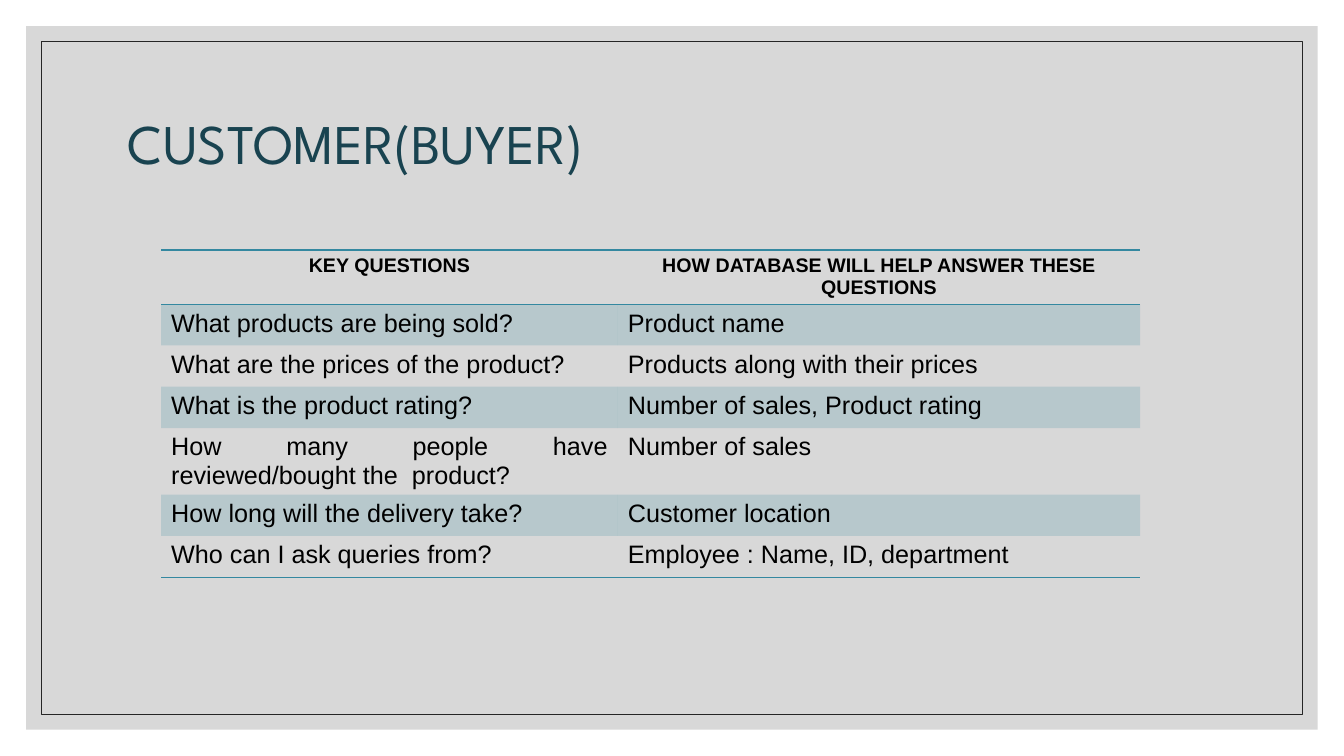
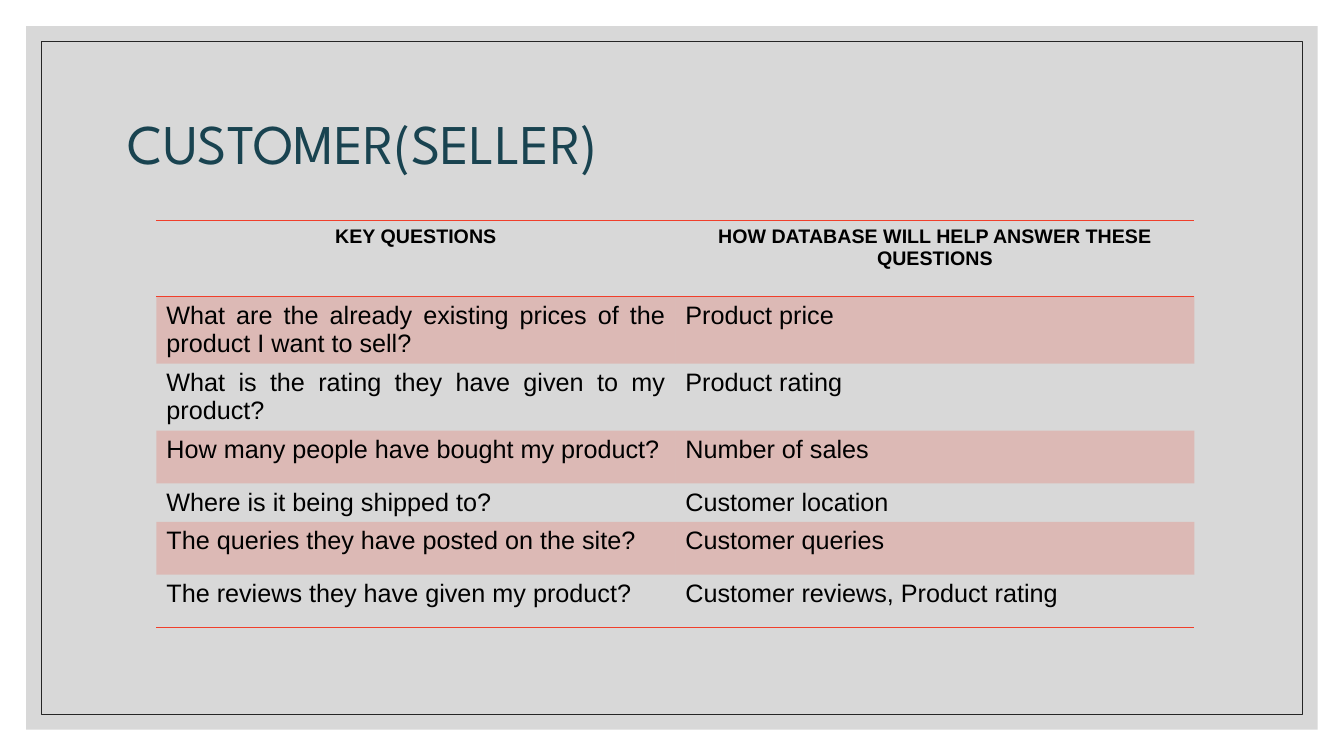
from lxml.etree import SubElement
from pptx import Presentation
from pptx.dml.color import RGBColor
from pptx.enum.shapes import MSO_SHAPE
from pptx.enum.text import MSO_ANCHOR, PP_ALIGN
from pptx.oxml import parse_xml
from pptx.oxml.ns import nsdecls, qn
from pptx.util import Cm, Pt

COLOURS = {
    "panel": "BFBFBF",
    "outline": "262626",
    "title": "194350",
    "text": "000000",
    "buyer": "3488A0",
    "seller": "F03F2B",
}
FONTS = {
    "title": {"name": "League Spartan", "size": Pt(40), "bold": False},
    "header": {"name": "Arial", "size": Pt(14), "bold": True},
    "body": {"name": "Arial", "size": Pt(18), "bold": False},
}
SLIDE_WIDTH, SLIDE_HEIGHT = 33.87, 19.05
TITLE_BOX = (2.97, 1.78, 27.94, 3.81)
PANEL_INSET, OUTLINE_INSET = 0.66, 1.04
NO_TABLE_STYLE = "{2D5ABB26-0587-4C30-8999-92F81FD0307C}"
HEADINGS = ("KEY QUESTIONS", "HOW DATABASE WILL HELP ANSWER THESE QUESTIONS")
TOPICS = [
    {
        "title": "CUSTOMER(BUYER)",
        "accent": "buyer",
        "corner": (4.06, 6.3),
        "widths": (11.51, 13.16),
        "heights": (1.36, 1.04, 1.04, 1.04, 1.67, 1.04, 1.04),
        "rows": [
            ("What products are being sold?", "Product name"),
            ("What are the prices of the product?", "Products along with their prices"),
            ("What is the product rating?", "Number of sales, Product rating"),
            ("How many people have reviewed/bought the  product?", "Number of sales"),
            ("How long will the delivery take?", "Customer location"),
            ("Who can I ask queries from?", "Employee : Name, ID, department"),
        ],
    },
    {
        "title": "CUSTOMER(SELLER)",
        "accent": "seller",
        "corner": (3.94, 5.56),
        "widths": (13.08, 13.08),
        "heights": (1.91, 1.69, 1.69, 1.33, 0.97, 1.33, 1.33),
        "rows": [
            ("What are the already existing prices of the product I want to sell?", "Product price"),
            ("What is the rating they have given to my product?", "Product rating"),
            ("How many people have bought my product?", "Number of sales"),
            ("Where is it being shipped to?", "Customer location"),
            ("The queries they have posted on the site?", "Customer queries"),
            ("The reviews they have given my product?", "Customer reviews, Product rating"),
        ],
    },
]


def colour(name):
    return RGBColor.from_string(COLOURS[name])


def format_font(font, style, colour_name):
    for attribute, value in FONTS[style].items():
        setattr(font, attribute, value)
    font.color.rgb = colour(colour_name)


def tint(fill, element, colour_name, percent):
    fill.solid()
    fill.fore_color.rgb = colour(colour_name)
    shade = element.find(f"{qn('a:solidFill')}/{qn('a:srgbClr')}")
    SubElement(shade, qn("a:alpha"), val=str(percent * 1000))


def add_inset_rectangle(page, inset):
    box = page.shapes.add_shape(
        MSO_SHAPE.RECTANGLE, Cm(inset), Cm(inset),
        Cm(SLIDE_WIDTH - 2 * inset), Cm(SLIDE_HEIGHT - 2 * inset))
    box.shadow.inherit = False
    return box


def add_frame(page, layout):
    panel = add_inset_rectangle(page, PANEL_INSET)
    tint(panel.fill, panel.element.spPr, "panel", 60)
    panel.line.fill.background()
    outline = add_inset_rectangle(page, OUTLINE_INSET)
    outline.fill.background()
    outline.line.color.rgb = colour("outline")
    outline.line.width = Pt(0.75)
    next_id = max(shape.shape_id for shape in layout.shapes) + 1
    for offset, box in enumerate((panel, outline)):
        box.element.nvSpPr.cNvPr.set("id", str(next_id + offset))
        layout.shapes.element.insert(2 + offset, box.element)


def add_title(page, text, area):
    title = page.shapes.title
    title.left, title.top, title.width, title.height = map(Cm, area)
    title.text_frame.vertical_anchor = MSO_ANCHOR.MIDDLE
    para = title.text_frame.paragraphs[0]
    para.alignment = PP_ALIGN.LEFT
    para.line_spacing = 0.9
    span = para.add_run()
    span.text = text
    format_font(span.font, "title", "title")


def add_border(cell, side, colour_name):
    cell._tc.get_or_add_tcPr().append(parse_xml(
        f'<a:{side} {nsdecls("a")} w="{Pt(1)}"><a:solidFill>'
        f'<a:srgbClr val="{COLOURS[colour_name]}"/></a:solidFill></a:{side}>'))


def fill_cell(cell, text, style, alignment):
    para = cell.text_frame.paragraphs[0]
    para.alignment = alignment
    span = para.add_run()
    span.text = text
    format_font(span.font, style, "text")


def add_question_table(page, topic):
    rows = [HEADINGS, *topic["rows"]]
    left, top = topic["corner"]
    widths, heights, accent = topic["widths"], topic["heights"], topic["accent"]
    table = page.shapes.add_table(
        len(rows), len(widths), Cm(left), Cm(top),
        Cm(sum(widths)), Cm(sum(heights))).table
    table.first_row = table.horz_banding = False
    table._tbl.tblPr.find(qn("a:tableStyleId")).text = NO_TABLE_STYLE
    for column, width in zip(table.columns, widths):
        column.width = Cm(width)
    for index, (texts, height) in enumerate(zip(rows, heights)):
        table.rows[index].height = Cm(height)
        header = index == 0
        alignments = [PP_ALIGN.CENTER] * 2 if header else [PP_ALIGN.JUSTIFY, PP_ALIGN.LEFT]
        for cell, text, alignment in zip(table.rows[index].cells, texts, alignments):
            fill_cell(cell, text, "header" if header else "body", alignment)
            if header:
                add_border(cell, "lnT", accent)
            if header or index == len(rows) - 1:
                add_border(cell, "lnB", accent)
            if index % 2:
                tint(cell.fill, cell._tc.get_or_add_tcPr(), accent, 20)
            else:
                cell.fill.background()


def main():
    deck = Presentation()
    deck.slide_width, deck.slide_height = Cm(SLIDE_WIDTH), Cm(SLIDE_HEIGHT)
    layout = deck.slide_layouts.get_by_name("Title Only")
    pages = [deck.slides.add_slide(layout) for topic in TOPICS]
    add_frame(pages[0], layout)
    for page, topic in zip(pages, TOPICS):
        add_title(page, topic["title"], TITLE_BOX)
        add_question_table(page, topic)
    deck.save("out.pptx")


if __name__ == "__main__":
    main()
